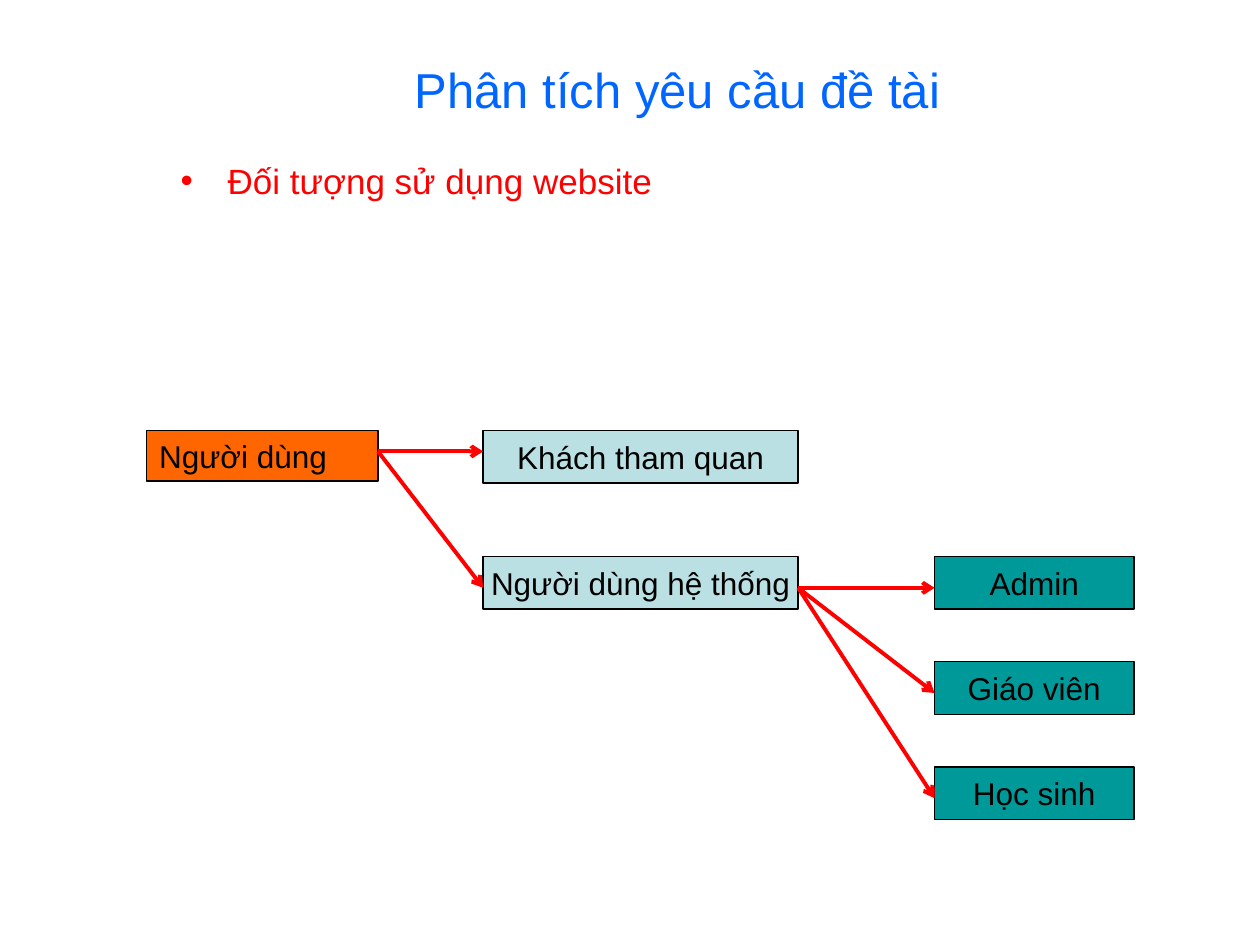
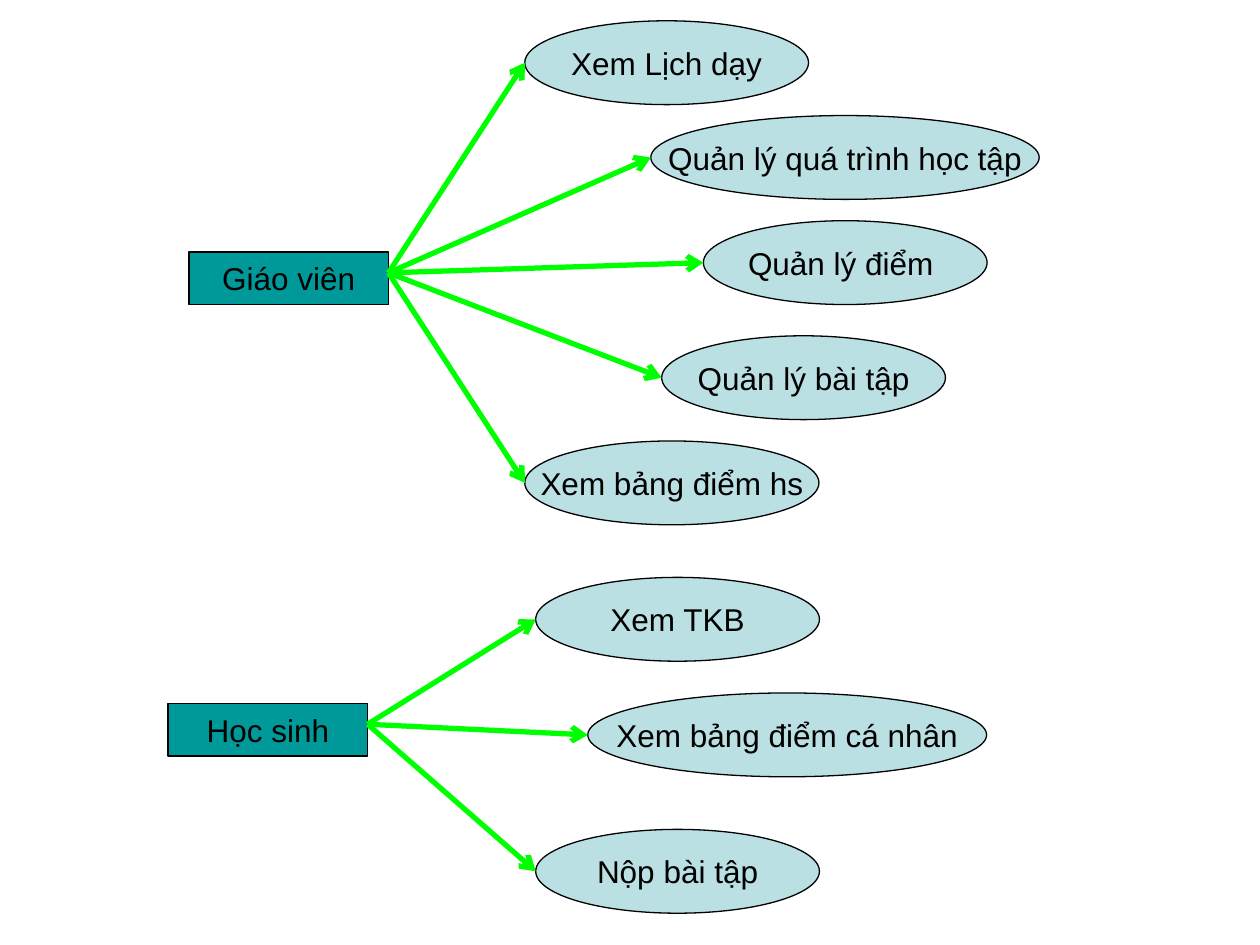
from dataclasses import dataclass

import lxml.etree
import pptx
import pptx.dml.color
import pptx.enum.shapes
import pptx.enum.text
import pptx.oxml.ns
import pptx.util

Cm = pptx.util.Cm
Pt = pptx.util.Pt
Preset = pptx.enum.shapes.MSO_SHAPE
Align = pptx.enum.text.PP_ALIGN
Anchor = pptx.enum.text.MSO_ANCHOR


@dataclass(frozen=True)
class Theme:
    font: str = "Arial"
    title_size: int = 28
    heading_size: int = 20
    label_size: int = 18
    title: str = "0066FF"
    red: str = "FF0000"
    green: str = "00FF00"
    black: str = "000000"
    orange: str = "FF6600"
    pale: str = "BBE0E3"
    teal: str = "009999"
    outline: float = 0.75
    user_arrow: float = 2.25
    action_arrow: float = 3


@dataclass(frozen=True)
class Box:
    left: float
    top: float
    width: float
    height: float

    def inner(self, left, top, width, height):
        return Box(self.left + left, self.top + top, width, height)

    def lengths(self):
        return [Cm(n) for n in (self.left, self.top, self.width, self.height)]

    def entry(self, drop):
        return self.left, self.top + drop

    def exit(self, drop):
        return self.left + self.width, self.top + drop


THEME = Theme()
SLIDE = Box(0, 0, 25.4, 19.05)
ROLE_WIDTH, ROLE_HEIGHT = 4.02, 1.06
ACTION_WIDTH, ACTION_HEIGHT = 5.72, 1.69
EXIT_DROP, ENTRY_DROP = 0.42, 0.63


def rgb(value):
    return pptx.dml.color.RGBColor.from_string(value)


def add_xml(parent, tag, **attributes):
    return lxml.etree.SubElement(parent, pptx.oxml.ns.qn(tag), attributes)


def write(holder, text, size=THEME.label_size, color=THEME.black, align=Align.CENTER,
          anchor=Anchor.MIDDLE, wrap=False, bullet=None, spacing=None):
    frame = holder.text_frame
    frame.word_wrap = wrap
    frame.vertical_anchor = anchor
    paragraph = frame.paragraphs[0]
    paragraph.alignment = align
    if bullet:
        properties = paragraph._p.get_or_add_pPr()
        properties.set("marL", str(Cm(0.95)))
        properties.set("indent", str(Cm(-0.95)))
        add_xml(add_xml(properties, "a:buClr"), "a:srgbClr", val=color)
        add_xml(properties, "a:buFont", typeface=THEME.font)
        add_xml(properties, "a:buChar", char=bullet)
    if spacing:
        paragraph.line_spacing = spacing
    run = paragraph.add_run()
    run.text = text
    run.font.name = THEME.font
    run.font.size = Pt(size)
    run.font.color.rgb = rgb(color)


def add_text(slide, box, text, **format):
    write(slide.shapes.add_textbox(*box.lengths()), text, wrap=True, **format)


def add_node(slide, box, text, fill, preset=Preset.RECTANGLE, **format):
    node = slide.shapes.add_shape(preset, *box.lengths())
    node.shadow.inherit = False
    node.fill.solid()
    node.fill.fore_color.rgb = rgb(fill)
    node.line.color.rgb = rgb(THEME.black)
    node.line.width = Pt(THEME.outline)
    write(node, text, **format)


def add_arrow(slide, start, end, color, width):
    ends = [Cm(n) for n in (*start, *end)]
    arrow = slide.shapes.add_connector(pptx.enum.shapes.MSO_CONNECTOR.STRAIGHT, *ends)
    arrow.line.color.rgb = rgb(color)
    arrow.line.width = Pt(width)
    properties = arrow.element.spPr
    add_xml(properties.find(pptx.oxml.ns.qn("a:ln")), "a:tailEnd", type="arrow")
    add_xml(properties, "a:effectLst")


def add_heading(slide, region):
    add_text(slide, region.inner(0.21, 0, 20.11, 2.75), "Phân tích yêu cầu đề tài",
             size=THEME.title_size, color=THEME.title)
    add_text(slide, region.inner(0, 2.76, 20.11, 1.59), "Đối tượng sử dụng website",
             size=THEME.heading_size, color=THEME.red, align=Align.LEFT,
             anchor=Anchor.TOP, bullet="•", spacing=0.9)


def add_user_tree(slide, region):
    user = region.inner(0, 0, 4.66, 1.02)
    visitor, member = [region.inner(6.78, 2.54 * row, 6.35, ROLE_HEIGHT) for row in range(2)]
    roles = {
        name: region.inner(15.88, 2.54 + 2.12 * row, ROLE_WIDTH, ROLE_HEIGHT)
        for row, name in enumerate(("Admin", "Giáo viên", "Học sinh"))
    }
    add_node(slide, user, "Người dùng", THEME.orange, align=Align.LEFT,
             anchor=Anchor.TOP, wrap=True)
    add_node(slide, visitor, "Khách tham quan", THEME.pale)
    add_node(slide, member, "Người dùng hệ thống", THEME.pale)
    for name, role in roles.items():
        add_node(slide, role, name, THEME.teal)

    user_exit, member_exit = user.exit(EXIT_DROP), member.exit(ENTRY_DROP)
    links = [(user_exit, visitor.entry(EXIT_DROP)), (user_exit, member.entry(ENTRY_DROP))]
    links += [(member_exit, role.entry(ENTRY_DROP)) for role in roles.values()]
    for start, end in links:
        add_arrow(slide, start, end, THEME.red, THEME.user_arrow)


def add_role_actions(slide, region, role_name, role_top, actions):
    role = region.inner(0, role_top, ROLE_WIDTH, ROLE_HEIGHT)
    add_node(slide, role, role_name, THEME.teal)
    for name, left, top, width in actions:
        action = region.inner(left, top, width, ACTION_HEIGHT)
        add_node(slide, action, name, THEME.pale, preset=Preset.OVAL)
        add_arrow(slide, role.exit(EXIT_DROP), action.entry(ACTION_HEIGHT / 2),
                  THEME.green, THEME.action_arrow)


def build_users_slide(slide):
    add_heading(slide, SLIDE.inner(3.39, 0.42, 20.32, 4.35))
    add_user_tree(slide, SLIDE.inner(2.96, 8.68, 19.9, 7.84))


def build_actions_slide(slide):
    add_role_actions(slide, SLIDE.inner(3.81, 0.42, 17.14, 10.16), "Giáo viên", 4.66, [
        ("Xem Lịch dạy", 6.77, 0, ACTION_WIDTH),
        ("Quản lý quá trình học tập", 9.31, 1.91, 7.83),
        ("Quản lý điểm ", 10.37, 4.03, ACTION_WIDTH),
        ("Quản lý bài tập", 9.53, 6.35, ACTION_WIDTH),
        ("Xem bảng điểm hs", 6.77, 8.47, 5.93),
    ])
    add_role_actions(slide, SLIDE.inner(3.39, 11.64, 16.5, 6.77), "Học sinh", 2.54, [
        ("Xem TKB", 7.41, 0, ACTION_WIDTH),
        ("Xem bảng điểm cá nhân", 8.46, 2.33, 8.04),
        ("Nộp bài tập", 7.41, 5.08, ACTION_WIDTH),
    ])


def main():
    deck = pptx.Presentation()
    deck.slide_width, deck.slide_height = Cm(SLIDE.width), Cm(SLIDE.height)
    for build in (build_users_slide, build_actions_slide):
        build(deck.slides.add_slide(deck.slide_layouts[6]))
    deck.save("out.pptx")


if __name__ == "__main__":
    main()
